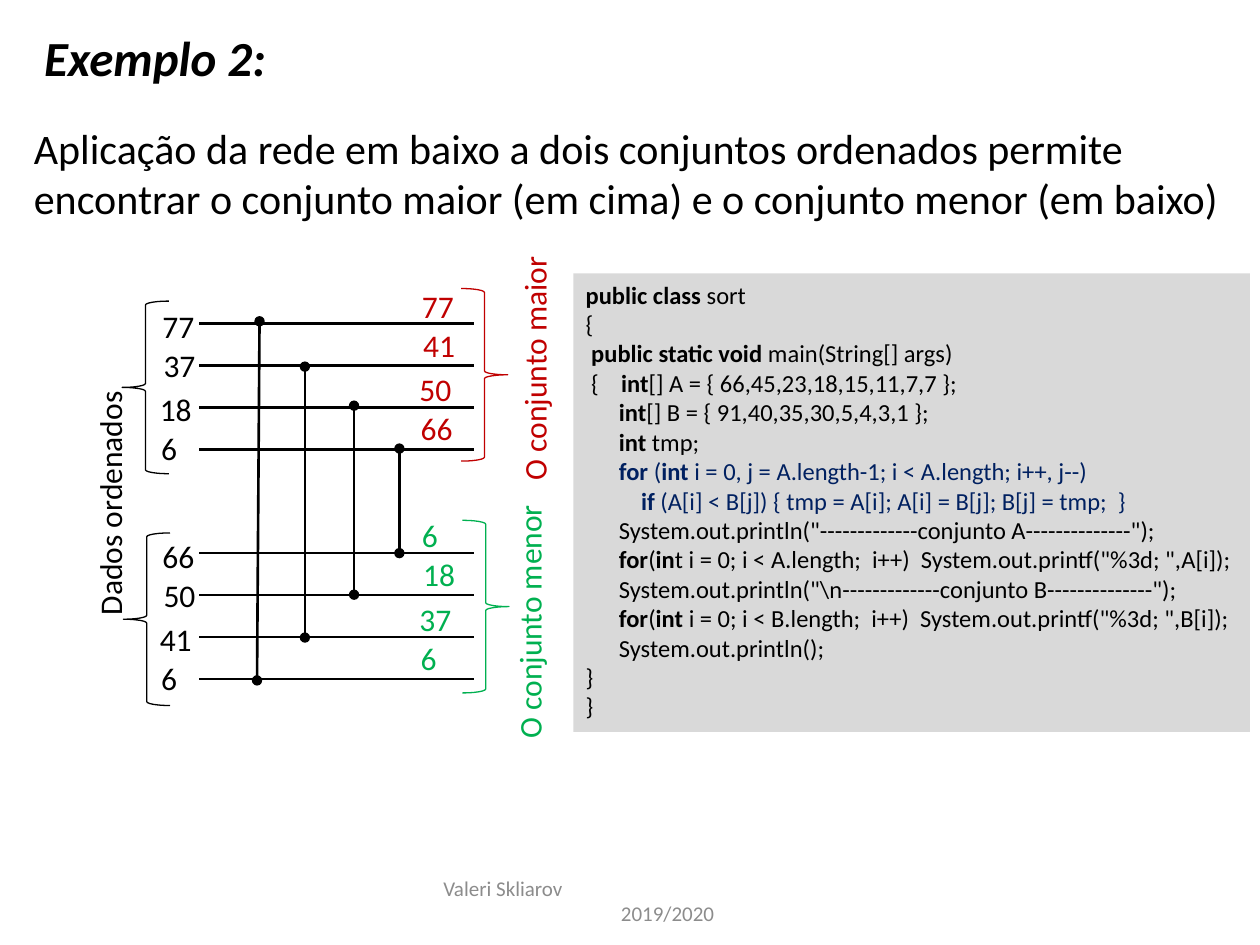
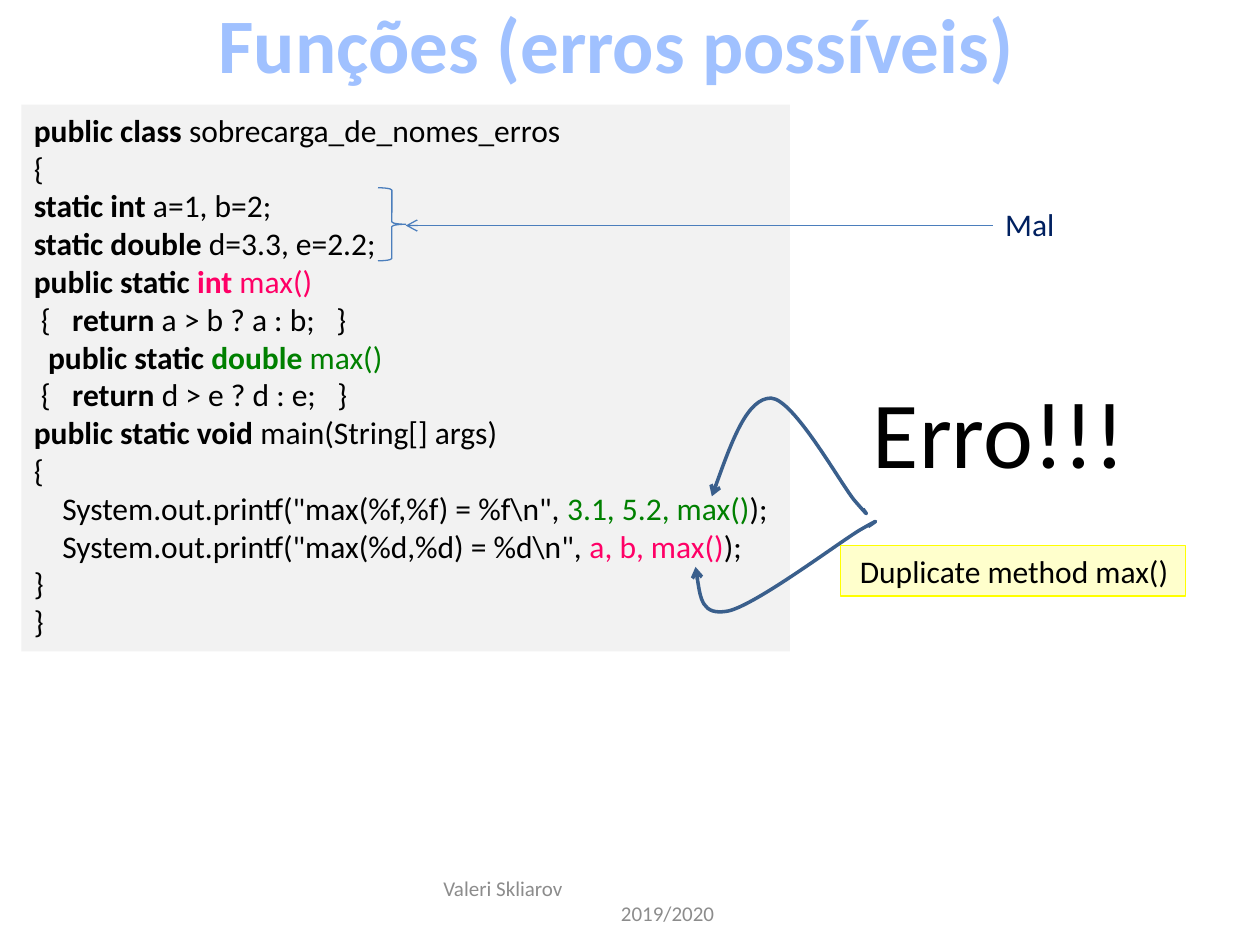
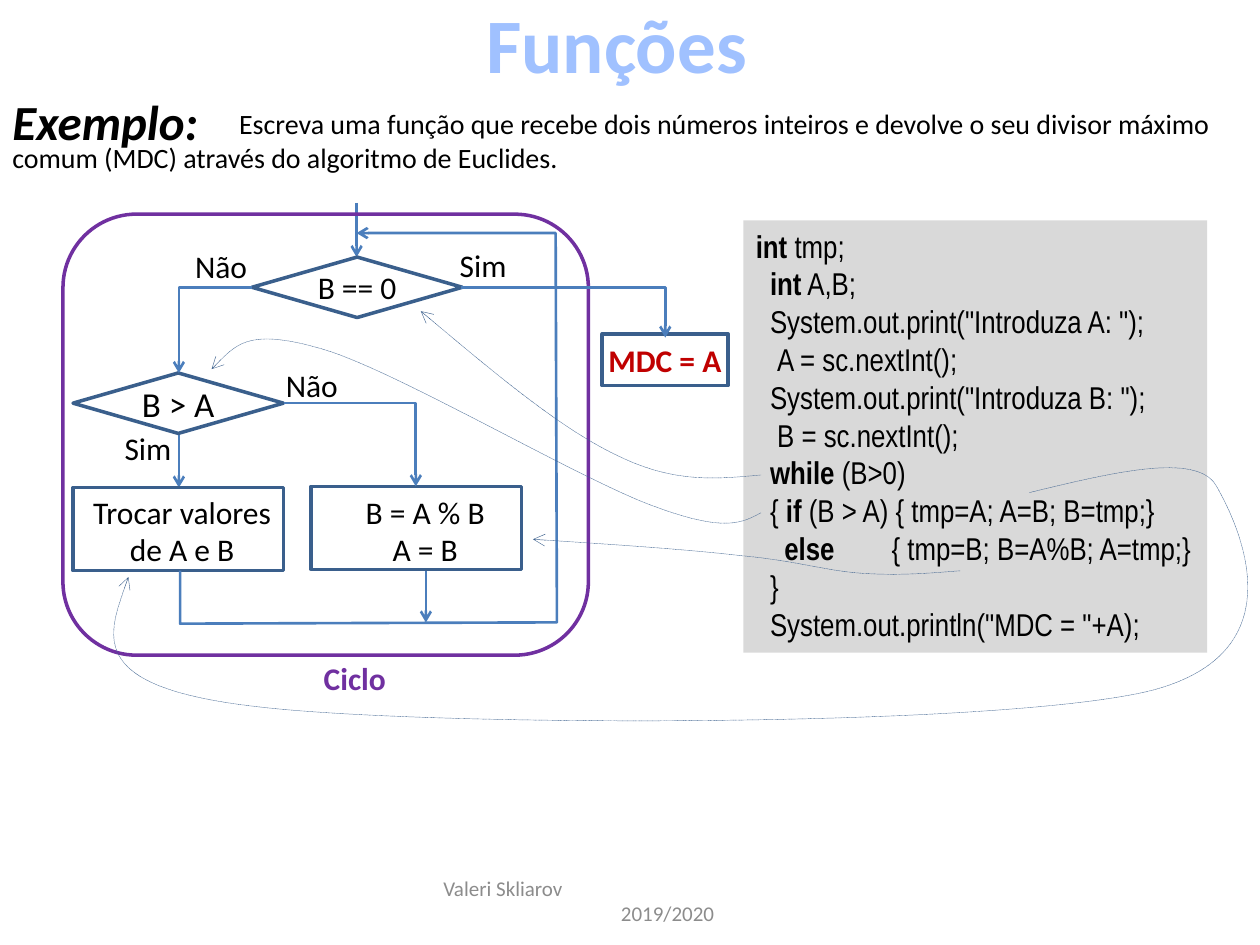
from dataclasses import dataclass
from lxml.etree import SubElement
from pptx import Presentation
from pptx.dml.color import RGBColor
from pptx.enum.dml import MSO_LINE as Dash
from pptx.enum.shapes import MSO_CONNECTOR as Link, MSO_SHAPE as Kind
from pptx.enum.text import MSO_ANCHOR as Anchor, MSO_AUTO_SIZE as Fit, PP_ALIGN as Align
from pptx.oxml.ns import qn
from pptx.util import Inches, Pt


@dataclass(frozen=True)
class Theme:
    font: str = "Calibri"
    slim: str = "Arial Narrow"
    black: str = "000000"
    white: str = "FFFFFF"
    gray: str = "8C8C8C"
    panel: str = "D9D9D9"
    pale: str = "F2F2F2"
    red: str = "C00000"
    green: str = "00B050"
    leaf: str = "008000"
    pink: str = "FF0066"
    navy: str = "002060"
    sky: str = "A0C1FF"
    blue: str = "4B7EBC"
    steel: str = "3A5F8C"
    plum: str = "7030A0"
    cream: str = "FFFFCC"
    yellow: str = "FFFF00"
    huge: int = 54
    title: int = 44
    head: int = 28
    lead: int = 24
    large: int = 20
    body: int = 18
    note: int = 16
    code: int = 14
    foot: int = 12


T = Theme()
SPACE = 0.226


def rgb(hue):
    return RGBColor.from_string(hue)


def place(area):
    return [Inches(v) for v in area]


def write(para, text, size, hue=T.black, bold=False, slant=False, font=T.font, gap=1):
    run = para.add_run()
    run.text = text
    run.font.name, run.font.size = font, Pt(size)
    run.font.bold, run.font.italic = bold, slant
    run.font.color.rgb = rgb(hue)
    if gap > 1:
        run._r.get_or_add_rPr().set("spc", str(round((gap - 1) * SPACE * size * 100)))


def frame_up(shape, wrap, anchor=Anchor.TOP, fit=Fit.SHAPE_TO_FIT_TEXT):
    frame = shape.text_frame
    frame.word_wrap, frame.auto_size = wrap, fit
    frame.vertical_anchor = anchor
    return frame


def paras(frame, lines):
    for i, line in enumerate(lines):
        yield (frame.add_paragraph() if i else frame.paragraphs[0]), line


def indent(para, left=0, first=0):
    props = para._p.get_or_add_pPr()
    props.set("marL", str(Inches(left)))
    props.set("indent", str(Inches(first)))


def paint(shape, fill=None, line=None, width=0.75):
    if fill:
        shape.fill.solid()
        shape.fill.fore_color.rgb = rgb(fill)
    else:
        shape.fill.background()
    if line:
        shape.line.color.rgb = rgb(line)
        shape.line.width = Pt(width)
    else:
        shape.line.fill.background()


def box(slide, area, text, size=T.body, hue=T.black, wrap=False,
        align=Align.LEFT, turn=0, **style):
    shape = slide.shapes.add_textbox(*place(area))
    shape.rotation = turn
    for para, line in paras(frame_up(shape, wrap), text.split("\n")):
        para.alignment = align
        write(para, line, size, hue, **style)
    return shape


def title(slide, area, text, size=T.title, hue=T.sky, align=Align.CENTER, slant=False):
    shape = slide.shapes.title
    shape.left, shape.top, shape.width, shape.height = place(area)
    para = frame_up(shape, False).paragraphs[0]
    para.alignment = align
    write(para, text, size, hue, True, slant)


def footer(slide):
    shape = slide.shapes.add_textbox(*place((3.42, 6.95, 3.17, 0.4)))
    para = frame_up(shape, True, Anchor.MIDDLE, Fit.NONE).paragraphs[0]
    indent(para, 1.41, -1.41)
    write(para, "Valeri Skliarov", T.foot, T.gray)
    para.add_line_break()
    write(para, "2019/2020", T.foot, T.gray)


def code(slide, area, fill, size, lines, wrap=True, font=T.font):
    shape = slide.shapes.add_textbox(*place(area))
    paint(shape, fill)
    for para, (pad, text, *hue) in paras(frame_up(shape, wrap), lines):
        indent(para, pad * SPACE * size / 72)
        for i, part in enumerate(text.split("|")):
            tint = hue[0] if i % 2 else T.black
            for j, bit in enumerate(part.split("*")):
                for k, piece in enumerate(bit.split("~")):
                    if k % 2:
                        write(para, " ", size, tint, font=font, gap=int(piece))
                    elif piece:
                        write(para, piece, size, tint, j % 2 == 1, font=font)


def block(slide, kind, area, line, width=2, fill=None, flip=False):
    shape = slide.shapes.add_shape(kind, *place(area))
    shape.shadow.inherit = False
    paint(shape, fill, line, width)
    if flip:
        shape._element.spPr.find(qn("a:xfrm")).set("flipH", "1")
    return shape


def choice(slide, area, text, size):
    shape = block(slide, Kind.FLOWCHART_DECISION, area, T.steel)
    para = frame_up(shape, False, Anchor.MIDDLE, Fit.NONE).paragraphs[0]
    para.alignment = Align.CENTER
    write(para, text, size)


def tips(shape, head=None, tail=None):
    for tag, tip in (("a:headEnd", head), ("a:tailEnd", tail)):
        if tip:
            SubElement(shape.line._get_or_add_ln(), qn(tag), type=tip)


def wire(slide, start, end, hue=T.black, width=1.5, head=None, tail=None, bent=False):
    line = slide.shapes.add_connector(
        Link.ELBOW if bent else Link.STRAIGHT, *place(start + end))
    line.line.color.rgb = rgb(hue)
    line.line.width = Pt(width)
    tips(line, head, tail)
    props = line._element.spPr
    if bent:
        props.find(qn("a:prstGeom")).set("prst", "bentConnector2")
    SubElement(props, qn("a:effectLst"))


def trace(slide, points, hue, width, dash=None):
    pen = slide.shapes.build_freeform(*place(points[0]))
    pen.add_line_segments([place(p) for p in points[1:]], close=False)
    shape = pen.convert_to_shape()
    shape.shadow.inherit = False
    paint(shape, None, hue, width)
    if dash:
        shape.line.dash_style = dash
    tips(shape, tail="arrow")
    return shape


def bezier(knots, t):
    weights = ((1 - t) ** 3, 3 * t * (1 - t) ** 2, 3 * t * t * (1 - t), t ** 3)
    return tuple(sum(w * k[i] for w, k in zip(weights, knots)) for i in (0, 1))


def curve(slide, knots, hue=T.steel, width=0.25, dash=Dash.ROUND_DOT):
    spans = [knots[i:i + 4] for i in range(0, len(knots) - 1, 3)]
    points = [knots[0]] + [bezier(s, n / 20) for s in spans for n in range(1, 21)]
    shape = trace(slide, points, hue, width, dash)
    route = shape._element.spPr.find(".//" + qn("a:path"))
    for step in route.findall(qn("a:lnTo")):
        route.remove(step)
    for span in spans:
        bend = SubElement(route, qn("a:cubicBezTo"))
        for x, y in span[1:]:
            SubElement(bend, qn("a:pt"), x=str(Inches(x) - shape.left),
                       y=str(Inches(y) - shape.top))


def labels(slide, values, left, top, hue=T.black):
    shifts = ((0.02, 0), (0.03, 0.31), (0, 0.66), (0.01, 0.97))
    for text, (x, y) in zip(values.split(), shifts):
        box(slide, (left + x, top + y, 0.2 + 0.13 * len(text), 0.4), text, hue=hue)


def network(slide):
    for top in (2.57, 4.39):
        for i in range(4):
            y = top + i / 3
            wire(slide, (1.58, y), (3.76, y))
    for start, end in (((2.06, 2.55), (2.04, 5.4)), ((2.42, 2.91), (2.42, 5.06)),
                       ((2.81, 3.22), (2.81, 4.72)), ((3.17, 3.56), (3.17, 4.39))):
        wire(slide, start, end, head="oval", tail="oval")
    for values, left, top, hue in (
            ("77 37 18 6", 1.17, 2.39, T.black), ("66 50 41 6", 1.17, 4.21, T.black),
            ("77 41 50 66", 3.23, 2.23, T.red), ("6 18 37 6", 3.23, 4.05, T.green)):
        labels(slide, values, left, top, hue)
    for x, y, hue, flip in ((0.97, 2.39, T.black, True), (0.98, 4.23, T.black, True),
                            (3.66, 2.29, T.red, False), (3.67, 4.13, T.green, False)):
        block(slide, Kind.RIGHT_BRACE, (x, y, 0.37, 1.37), hue, 0.75, flip=flip)
    for area, text, hue in (
            ((-0.13, 3.78, 2, 0.4), "Dados ordenados", T.black),
            ((3.24, 2.71, 2, 0.4), "O conjunto maior", T.red),
            ((3.16, 4.72, 2.08, 0.4), "O conjunto menor", T.green)):
        box(slide, area, text, hue=hue, turn=270)


def sets(slide):
    title(slide, (0.25, 0.17, 1.98, 0.57), "Exemplo 2:", T.head, T.black, Align.LEFT, True)
    box(slide, (0.17, 0.92, 9.75, 0.91),
        "Aplicação da rede em baixo a dois conjuntos ordenados permite encontrar "
        "o conjunto maior (em cima) e o conjunto menor (em baixo)", T.lead, wrap=True)
    network(slide)
    code(slide, (4.55, 2.17, 5.37, 3.64), T.panel, T.code, [
        (0, "*public class *sort"),
        (0, "{"),
        (1, "*public static void *main(String[] args)"),
        (1, "{~4~*int*[] A = { 66,45,23,18,15,11,7,7 };"),
        (6, "*int*[] B = { 91,40,35,30,5,4,3,1 };"),
        (6, "*int *tmp;"),
        (6, "|*for* (*int *i = 0, j = A.length-1; i < A.length; i++, j--)|", T.navy),
        (10, "|*if* (A[i] < B[j]) { tmp = A[i]; A[i] = B[j]; B[j] = tmp;  }|", T.navy),
        (6, 'System.out.println("-------------conjunto A--------------");'),
        (6, '*for*(*in*t i = 0; i < A.length;  i++)  System.out.printf("%3d; ",A[i]);'),
        (6, 'System.out.println("\\n-------------conjunto B--------------");'),
        (6, '*for*(*int *i = 0; i < B.length;  i++)  System.out.printf("%3d; ",B[i]);'),
        (6, "System.out.println();"),
        (0, "}"),
        (0, "}"),
    ], wrap=False)


def errors(slide):
    title(slide, (1.61, -0.08, 6.57, 0.84), "Funções (erros possíveis)")
    code(slide, (0.17, 0.83, 6.1, 4.34), T.pale, T.body, [
        (0, "*public class *sobrecarga_de_nomes_erros"),
        (0, "{"),
        (0, "*static int *a=1, b=2;"),
        (0, "*static double *d=3.3, e=2.2;"),
        (0, "*public static *|*int *max()|", T.pink),
        (1, "{~3~*return* a > b ? a : b;~3~}"),
        (2, "*public static *|*double *max()|", T.leaf),
        (1, "{~3~*return *d > e ? d : e;~3~}"),
        (0, "*public static void *main(String[] args)"),
        (0, "{"),
        (4, 'System.out.printf("max(%f,%f) = %f\\n", |3.1, 5.2, max()|);', T.leaf),
        (4, 'System.out.printf("max(%d,%d) = %d\\n", |a, b, max()|);', T.pink),
        (0, "}"),
        (0, "}"),
    ])
    box(slide, (6.83, 2.92, 2.23, 1.01), "Erro!!!", T.huge, wrap=True)
    note = box(slide, (6.67, 4.33, 2.74, 0.4), " Duplicate method max()", wrap=True)
    paint(note, T.cream, T.yellow)
    wire(slide, (7.88, 1.79), (3.22, 1.79), T.blue, 0.75, tail="arrow")
    box(slide, (7.88, 1.58, 0.6, 0.4), "Mal", hue=T.navy, wrap=True)
    block(slide, Kind.RIGHT_BRACE, (3, 1.49, 0.22, 0.58), T.blue, 0.75)
    for knots in (
            [(6.85, 4.04), (6.88, 4.08), (6.91, 4.12), (6.78, 3.97), (6.66, 3.82),
             (6.3, 3.17), (6.12, 3.16), (5.93, 3.16), (5.79, 3.55), (5.65, 3.94)],
            [(6.89, 4.18), (6.95, 4.14), (7.01, 4.1), (6.82, 4.21), (6.64, 4.32),
             (6, 4.8), (5.78, 4.85), (5.57, 4.89), (5.55, 4.7), (5.52, 4.5)]):
        curve(slide, knots, width=2, dash=None)


def flow(slide):
    for start, end in (((3.38, 4.48), (3.38, 4.94)), ((1.42, 3.45), (1.42, 3.87)),
                       ((2.83, 1.61), (2.83, 2.04))):
        wire(slide, start, end, T.blue, tail="arrow")
    block(slide, Kind.RECTANGLE, (2.47, 3.86, 1.67, 0.66), T.steel, fill=T.white)
    block(slide, Kind.RECTANGLE, (0.58, 3.87, 1.67, 0.66), T.steel)
    box(slide, (2.5, 3.86, 1.75, 0.71), "B = A % B\nA = B", wrap=True, align=Align.CENTER)
    box(slide, (0.57, 3.86, 1.75, 0.71), "Trocar valores de A e B",
        wrap=True, align=Align.CENTER)
    choice(slide, (2, 2.04, 1.67, 0.48), "B == 0", T.body)
    choice(slide, (0.58, 2.96, 1.67, 0.48), "B > A", T.large)
    block(slide, Kind.ROUNDED_RECTANGLE, (0.5, 1.7, 4.17, 3.5), T.plum)
    block(slide, Kind.RECTANGLE, (4.78, 2.65, 1, 0.41), T.steel, fill=T.white)
    for start, end in (((2.25, 3.2), (3.3, 3.86)), ((2, 2.28), (1.42, 2.96)),
                       ((3.66, 2.28), (5.28, 2.68))):
        wire(slide, start, end, T.blue, tail="arrow", bent=True)
    trace(slide, [(1.43, 4.53), (1.43, 4.95), (4.42, 4.94), (4.41, 1.85), (2.83, 1.85)],
          T.blue, 1.5)
    for x, y, text in ((0.89, 3.36, "Sim"), (3.55, 1.9, "Sim"),
                       (2.17, 2.86, "Não"), (1.45, 1.91, "Não")):
        box(slide, (x, y, 0.68, 0.4), text)
    box(slide, (2.47, 5.18, 0.78, 0.4), "Ciclo", hue=T.plum, bold=True)
    box(slide, (4.73, 2.66, 1.15, 0.4), "MDC = A", hue=T.red, bold=True)


def euclid(slide):
    title(slide, (3.75, -0.08, 2.29, 0.84), "Funções")
    box(slide, (0, 0.68, 1.69, 0.57), "Exemplo:", T.head, bold=True, slant=True)
    task = box(slide, (0, 0.8, 10, 0.64),
               "Escreva uma função que recebe dois números inteiros e devolve o seu "
               "divisor máximo comum (MDC) através do algoritmo de Euclides.",
               T.note, wrap=True)
    indent(task.text_frame.paragraphs[0], first=1.8)
    code(slide, (5.9, 1.75, 3.68, 3.43), T.panel, T.body, [
        (0, "*int *tmp;"),
        (2, "*int* A,B;"),
        (2, 'System.out.print("Introduza A: ");'),
        (3, "A = sc.nextInt();"),
        (2, 'System.out.print("Introduza B: ");'),
        (3, "B = sc.nextInt();"),
        (2, "*while* (B>0)"),
        (2, "{ *if* (B > A) { tmp=A; A=B; B=tmp;}"),
        (4, "*else*~8~{ tmp=B; B=A%B; A=tmp;}"),
        (2, "}"),
        (2, 'System.out.println("MDC = "+A);'),
    ], font=T.slim)
    flow(slide)
    for knots in (
            [(6.04, 3.77), (5.7, 3.8), (5.36, 3.84), (4.91, 3.62),
             (4.46, 3.41), (3.9, 2.94), (3.34, 2.47)],
            [(6.04, 4.07), (5.89, 4.15), (5.75, 4.23), (5.17, 4.01), (4.6, 3.8),
             (3.17, 2.96), (2.59, 2.78), (2, 2.6), (1.84, 2.76), (1.68, 2.93)],
            [(8.17, 3.91), (8.83, 3.75), (9.49, 3.59), (9.65, 3.85), (9.8, 4.11),
             (10.36, 5.19), (9.1, 5.49), (7.83, 5.78), (3.4, 5.77), (2.05, 5.61),
             (0.71, 5.46), (0.86, 5.02), (1.02, 4.58)],
            [(7.62, 4.53), (7.37, 4.55), (7.13, 4.57), (6.84, 4.55), (6.55, 4.53),
             (6.32, 4.45), (5.88, 4.41), (5.45, 4.36), (4.84, 4.32), (4.23, 4.28)]):
        curve(slide, knots)


def main():
    deck = Presentation()
    deck.slide_width, deck.slide_height = Inches(10), Inches(7.5)
    for build in (sets, errors, euclid):
        slide = deck.slides.add_slide(deck.slide_layouts[5])
        build(slide)
        footer(slide)
    deck.save("out.pptx")


main()
